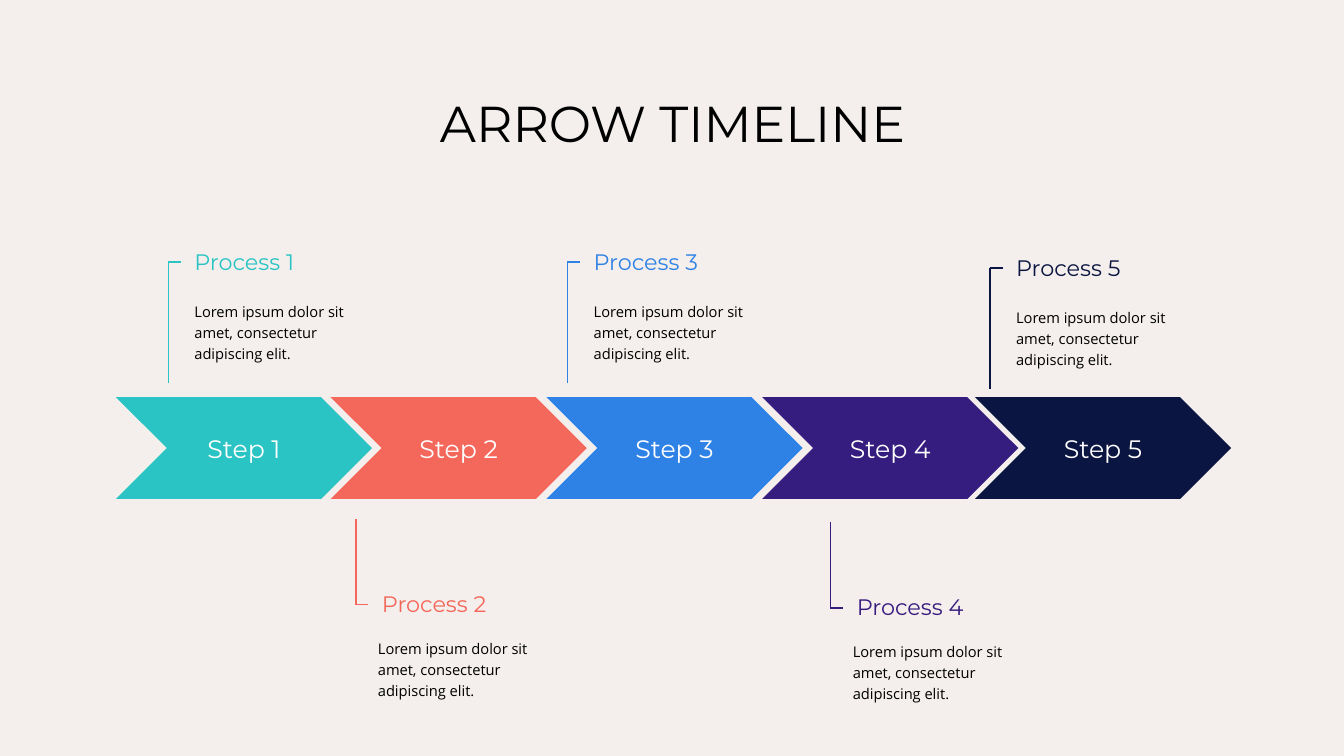
from lxml.etree import SubElement
from pptx import Presentation
from pptx.dml.color import RGBColor
from pptx.enum.shapes import MSO_CONNECTOR, MSO_SHAPE
from pptx.enum.text import MSO_ANCHOR, PP_ALIGN
from pptx.oxml.ns import qn
from pptx.util import Inches, Pt

COLUMNS, ROWS = 1333, 750
CELL = Inches(0.01)
COLORS = {
    "background": "F4EFEC",
    "black": "000000",
    "white": "FFFFFF",
    "teal": "2AC4C4",
    "coral": "F4685B",
    "blue": "2F82E5",
    "purple": "351D7F",
    "navy": "0B1541",
}
FONTS = {
    "title": {"name": "Montserrat", "size": Pt(36)},
    "step": {"name": "Montserrat", "size": Pt(18)},
    "process": {"name": "Montserrat", "size": Pt(16)},
    "detail": {"name": "Open Sans", "size": Pt(10.5)},
}
PARAGRAPHS = {
    "title": {"alignment": PP_ALIGN.CENTER},
    "step": {"alignment": PP_ALIGN.CENTER},
    "process": {"alignment": PP_ALIGN.LEFT},
    "detail": {"alignment": PP_ALIGN.LEFT, "line_spacing": 1.2},
}
DETAIL = "Lorem ipsum dolor sit amet, consectetur adipiscing elit."
STEPS = [
    ("teal", 115, (167, 260)),
    ("coral", 328, (353, 600)),
    ("blue", 542, (563, 260)),
    ("purple", 756, (824, 603)),
    ("navy", 967, (982, 266)),
]
ARROW_TOP, ARROW_WIDTH, ARROW_HEIGHT = 394, 254, 101
ABOVE = {"stem": 120, "detail_left": 16, "detail_top": 32}
BELOW = {"stem": -85, "detail_left": 12, "detail_top": 26}


def on_grid(*cells):
    return [round(cell * CELL) for cell in cells]


def apply_format(target, values):
    for attribute, value in values.items():
        setattr(target, attribute, value)


def write(holder, wording, role, color):
    frame = holder.text_frame
    frame.word_wrap = True
    paragraph = frame.paragraphs[0]
    apply_format(paragraph, PARAGRAPHS[role])
    run = paragraph.add_run()
    run.text = wording
    apply_format(run.font, FONTS[role])
    run.font.color.rgb = RGBColor.from_string(COLORS[color])


def add_wording(slide, box, wording, role, color):
    write(slide.shapes.add_textbox(*on_grid(*box)), wording, role, color)


def add_arrow(slide, box, wording, color):
    arrow = slide.shapes.add_shape(MSO_SHAPE.CHEVRON, *on_grid(*box))
    arrow.shadow.inherit = False
    arrow.fill.solid()
    arrow.fill.fore_color.rgb = RGBColor.from_string(COLORS[color])
    arrow.line.fill.background()
    arrow.text_frame.vertical_anchor = MSO_ANCHOR.MIDDLE
    write(arrow, wording, "step", "white")


def add_rule(slide, ends, color):
    rule = slide.shapes.add_connector(MSO_CONNECTOR.STRAIGHT, *on_grid(*ends))
    rule.line.color.rgb = RGBColor.from_string(COLORS[color])
    rule.line.width = Pt(1)
    SubElement(rule._element.spPr, qn("a:effectLst"))


def add_process(slide, corner, layout, wording, color):
    left, top = corner
    add_rule(slide, (left, top, left, top + layout["stem"]), color)
    add_rule(slide, (left - 0.5, top, left + 12.5, top), color)
    add_wording(slide, (left + 16, top - 19, 209, 37), wording, "process", color)
    detail_box = (left + layout["detail_left"], top + layout["detail_top"], 169, 72)
    add_wording(slide, detail_box, DETAIL, "detail", "black")


def add_timeline(slide):
    for number, (color, left, corner) in enumerate(STEPS, 1):
        arrow_box = (left, ARROW_TOP, ARROW_WIDTH, ARROW_HEIGHT)
        add_arrow(slide, arrow_box, f"Step {number}", color)
        layout = ABOVE if number % 2 else BELOW
        add_process(slide, corner, layout, f"Process {number}", color)


def main():
    deck = Presentation()
    deck.slide_width, deck.slide_height = on_grid(COLUMNS, ROWS)
    slide = deck.slides.add_slide(deck.slide_layouts[6])
    slide.background.fill.solid()
    slide.background.fill.fore_color.rgb = RGBColor.from_string(COLORS["background"])
    add_wording(slide, (348, 86, 638, 71), "ARROW TIMELINE", "title", "black")
    add_timeline(slide)
    deck.save("out.pptx")


if __name__ == "__main__":
    main()
